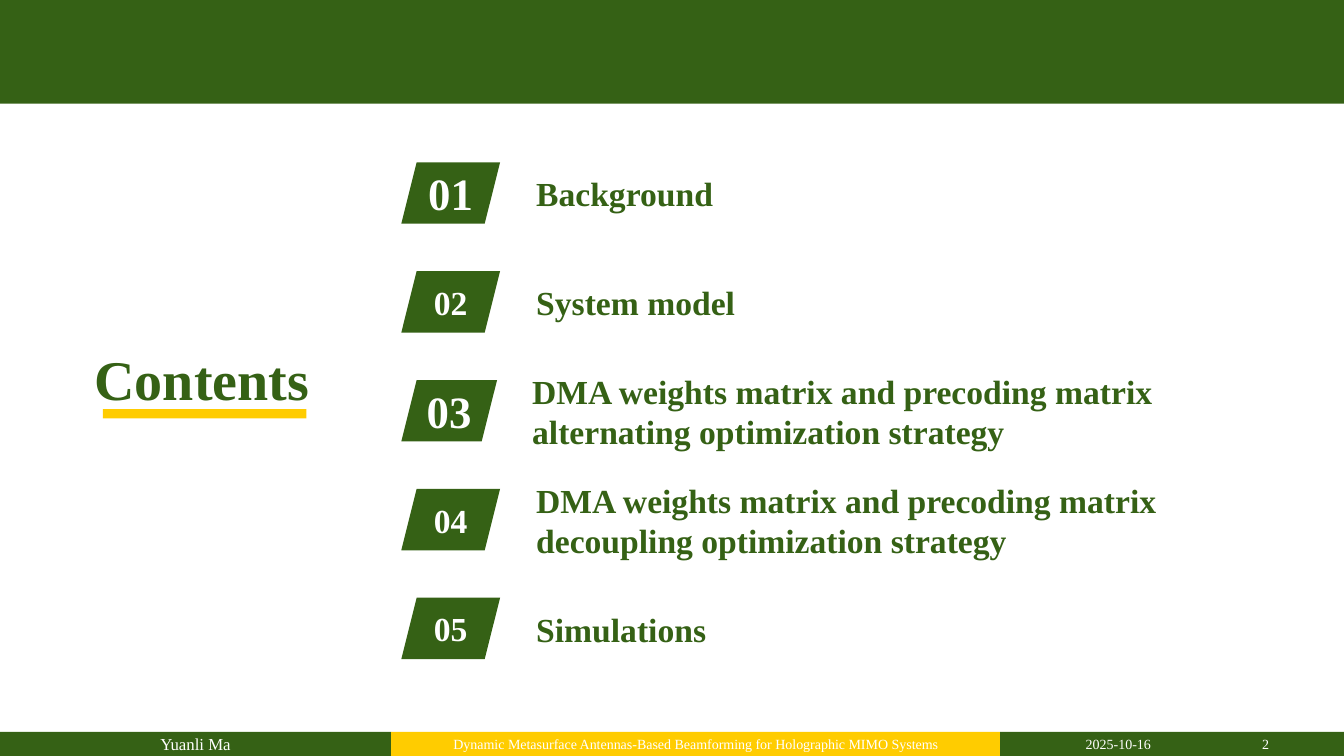
from dataclasses import dataclass
from pptx import Presentation
from pptx.dml.color import RGBColor
from pptx.enum.shapes import MSO_SHAPE as Preset
from pptx.enum.text import MSO_ANCHOR as Anchor, PP_ALIGN as Align
from pptx.util import Inches, Pt


@dataclass(frozen=True)
class Theme:
    font: str = "Times New Roman"
    green: RGBColor = RGBColor(0x35, 0x61, 0x15)
    yellow: RGBColor = RGBColor(0xFF, 0xCC, 0x00)
    white: RGBColor = RGBColor(0xFF, 0xFF, 0xFF)
    title: int = 40
    large_number: int = 32
    topic: int = 24
    author: int = 12
    footer: int = 10


theme = Theme()
deck = Presentation()
deck.slide_width, deck.slide_height = Inches(13.33), Inches(7.5)
slide = deck.slides.add_slide(deck.slide_layouts[6])


def add_block(box, fill, preset=Preset.RECTANGLE):
    block = slide.shapes.add_shape(preset, *map(Inches, box))
    block.shadow.inherit = False
    block.fill.solid()
    block.fill.fore_color.rgb = fill
    block.line.fill.background()
    return block


def write(holder, text, size, color, bold=False, align=Align.LEFT, anchor=Anchor.MIDDLE):
    frame = holder.text_frame
    frame.word_wrap = True
    frame.vertical_anchor = anchor
    frame.text = text
    paragraph = frame.paragraphs[0]
    paragraph.alignment = align
    font = paragraph.runs[0].font
    font.name, font.size, font.bold = theme.font, Pt(size), bold
    font.color.rgb = color
    return paragraph


footer_top, footer_height = 7.26, 0.24
author = add_block((0, footer_top, 3.88, footer_height), theme.green)
write(author, "Yuanli Ma", theme.author, theme.white, align=Align.CENTER)
talk = add_block((3.88, footer_top, 6.04, footer_height), theme.yellow)
write(talk, "Dynamic Metasurface Antennas-Based Beamforming for Holographic MIMO Systems",
      theme.footer, theme.white, align=Align.CENTER)
add_block((9.92, footer_top, 3.41, footer_height), theme.green)
for left, width, text in ((10.67, 1.48, "2025-10-16"), (12.42, 0.8, "2")):
    detail = slide.shapes.add_textbox(*map(Inches, (left, footer_top, width, footer_height)))
    write(detail, text, theme.footer, theme.white)

add_block((0, 0, 13.33, 1.03), theme.green)

heading = slide.shapes.add_textbox(*map(Inches, (0.84, 3.35, 2.43, 0.79)))
heading_line = write(heading, "Contents", theme.title, theme.green, bold=True, anchor=Anchor.BOTTOM)
heading_line.line_spacing = 0.9
add_block((1.02, 4.06, 2.02, 0.09), theme.yellow)

topics = (
    ("Background", theme.large_number, 0.98, 5.22, 4.44),
    ("System model", theme.topic, 0.98, 5.22, 4.44),
    ("DMA weights matrix and precoding matrix alternating optimization strategy",
     theme.large_number, 0.95, 5.18, 7.54),
    ("DMA weights matrix and precoding matrix decoupling optimization strategy",
     theme.topic, 0.98, 5.22, 7.8),
    ("Simulations", theme.topic, 0.98, 5.22, 7.8),
)
first_top, row_pitch = 1.61, 1.08
for index, (topic, number_size, badge_width, topic_left, topic_width) in enumerate(topics):
    top = first_top + index * row_pitch
    badge = add_block((3.98, top, badge_width, 0.61), theme.green, Preset.PARALLELOGRAM)
    write(badge, f"{index + 1:02d}", number_size, theme.white, bold=True, align=Align.CENTER)
    label = slide.shapes.add_textbox(*map(Inches, (topic_left, top - 0.08, topic_width, 0.78)))
    write(label, topic, theme.topic, theme.green, bold=True)

deck.save("out.pptx")
